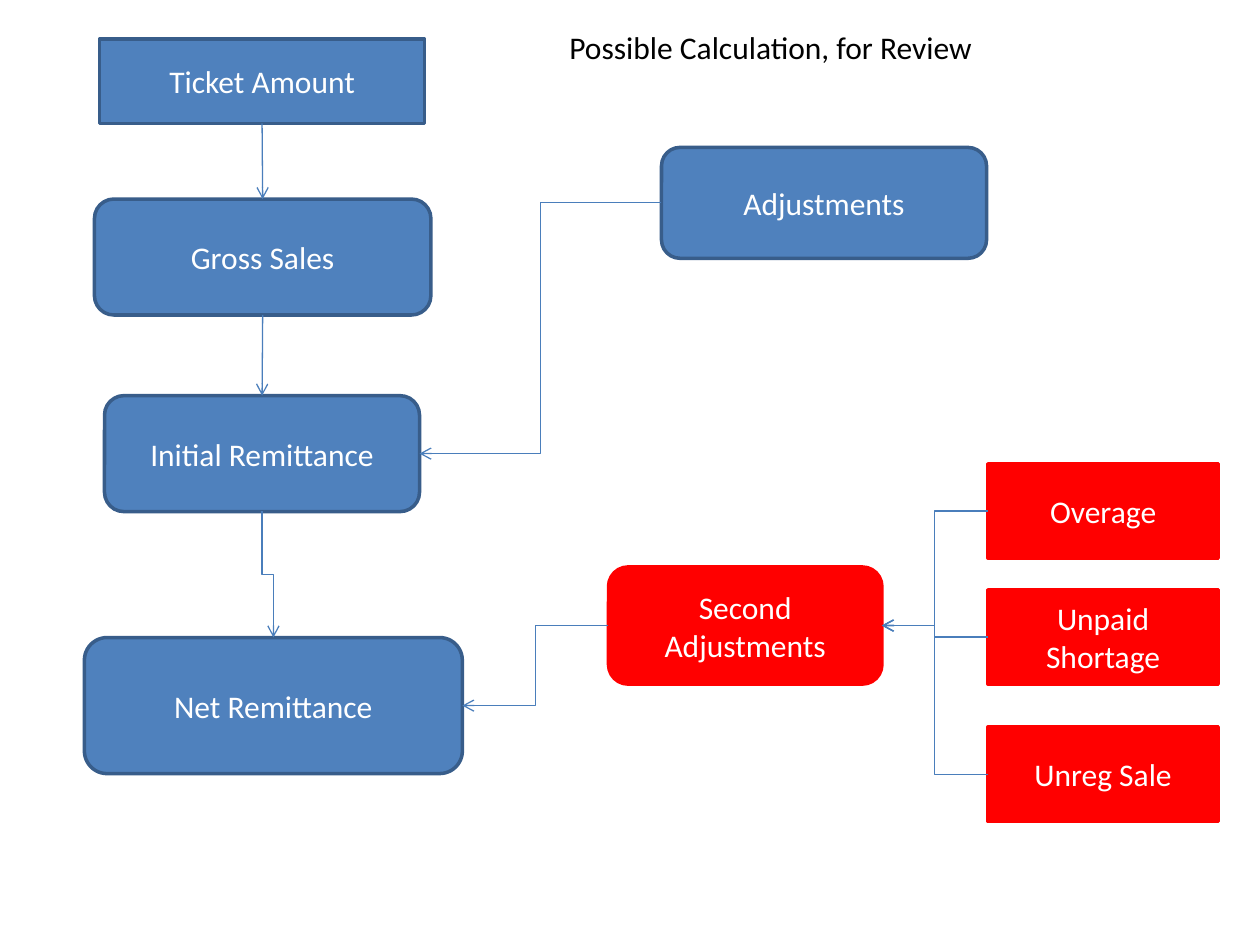
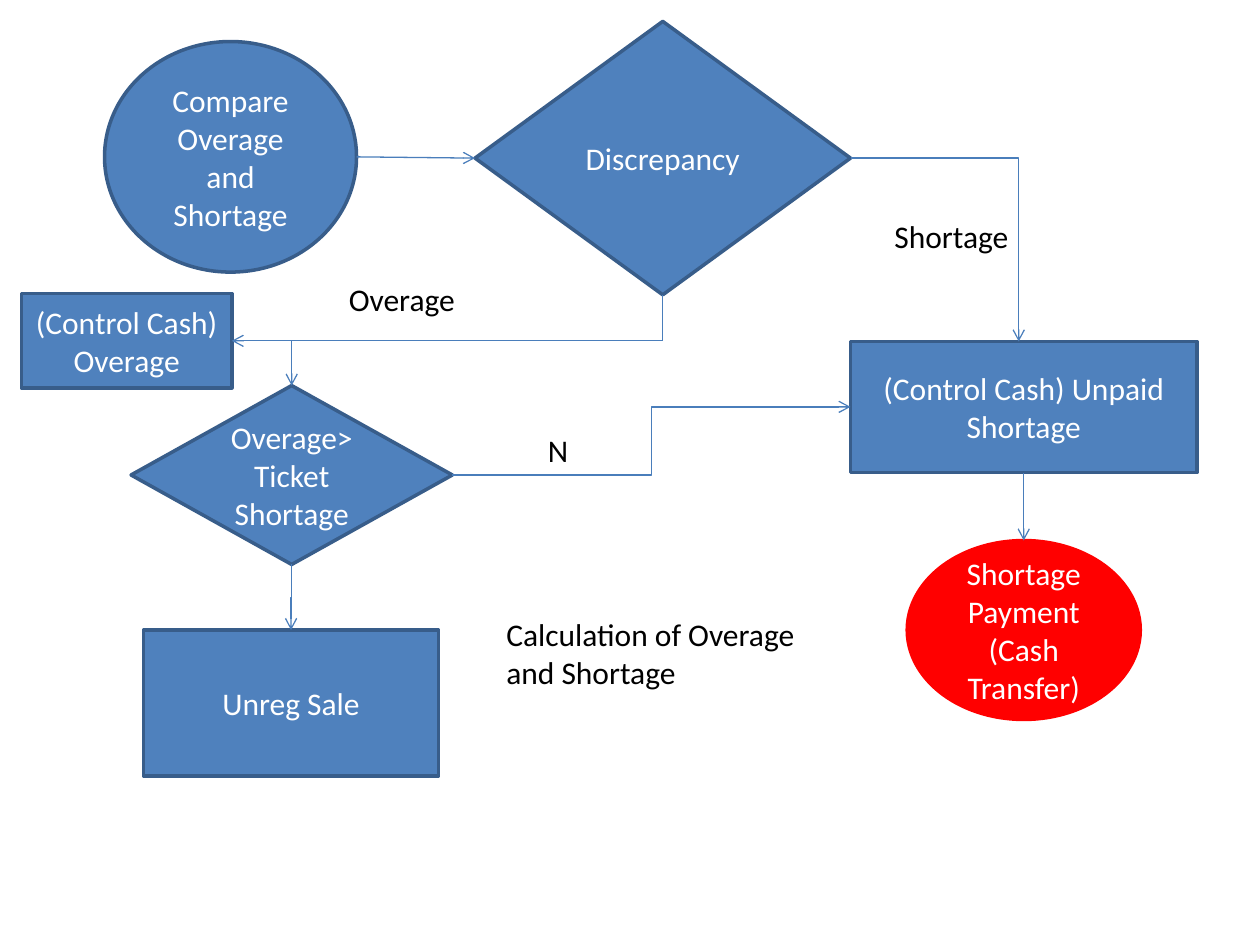
"""Builds two flowcharts of the remittance calculation and its overage and shortage rules."""
from dataclasses import dataclass
from enum import IntEnum

import lxml.etree
import pptx
import pptx.dml.color
import pptx.enum.shapes
import pptx.enum.text
import pptx.oxml.ns
import pptx.util

Inches = pptx.util.Inches
RGBColor = pptx.dml.color.RGBColor
Preset = pptx.enum.shapes.MSO_SHAPE
Align = pptx.enum.text.PP_ALIGN
Anchor = pptx.enum.text.MSO_ANCHOR
qn = pptx.oxml.ns.qn

FONT = "Calibri"
BLUE = RGBColor(0x4F, 0x81, 0xBD)
DARK_BLUE = RGBColor(0x38, 0x5D, 0x8A)
ARROW_BLUE = RGBColor(0x4A, 0x7E, 0xBB)
RED = RGBColor(0xFF, 0x00, 0x00)
WHITE = RGBColor(0xFF, 0xFF, 0xFF)
BLACK = RGBColor(0x00, 0x00, 0x00)


class Side(IntEnum):
    """Connection sites of a step."""
    TOP = 0
    LEFT = 1
    BOTTOM = 2
    RIGHT = 3


class Route(IntEnum):
    """Number of segments in an arrow."""
    STRAIGHT = 1
    CORNER = 2
    STEPPED = 3


@dataclass(frozen=True)
class Step:
    """A filled step of a flowchart, measured in inches."""
    text: str
    left: float
    top: float
    width: float
    height: float
    preset: Preset = Preset.RECTANGLE
    fill: RGBColor = BLUE
    outline: RGBColor = DARK_BLUE

    def port(self, side: Side) -> tuple[float, float]:
        """Return the middle of one side."""
        across = {Side.LEFT: 0, Side.RIGHT: 1}.get(side, 0.5)
        down = {Side.TOP: 0, Side.BOTTOM: 1}.get(side, 0.5)
        return self.left + across * self.width, self.top + down * self.height


@dataclass(frozen=True)
class Label:
    """Plain text beside the flow, measured in inches."""
    text: str
    left: float
    top: float
    width: float
    height: float = 0.4


@dataclass(frozen=True)
class Flow:
    """An arrow from a side of one step to a side of another."""
    source: Step
    leaving: Side
    target: Step
    entering: Side
    route: Route = Route.STEPPED
    end_shift: float = 0


def write(frame, text: str, *, color: RGBColor = BLACK, align: Align = Align.LEFT,
          anchor: Anchor = Anchor.TOP, size: float = 18) -> None:
    """Put formatted text into a text frame."""
    frame.word_wrap = True
    frame.vertical_anchor = anchor
    paragraph = frame.paragraphs[0]
    paragraph.alignment = align
    run = paragraph.add_run()
    run.text = text
    run.font.name = FONT
    run.font.size = pptx.util.Pt(size)
    run.font.color.rgb = color


def draw_step(slide, step: Step):
    """Draw a step and return its shape."""
    shape = slide.shapes.add_shape(step.preset, Inches(step.left), Inches(step.top),
                                   Inches(step.width), Inches(step.height))
    shape.shadow.inherit = False
    shape.fill.solid()
    shape.fill.fore_color.rgb = step.fill
    shape.line.color.rgb = step.outline
    shape.line.width = pptx.util.Pt(2)
    write(shape.text_frame, step.text, color=WHITE, align=Align.CENTER, anchor=Anchor.MIDDLE)
    return shape


def draw_label(slide, label: Label) -> None:
    """Draw a label."""
    box = slide.shapes.add_textbox(Inches(label.left), Inches(label.top),
                                   Inches(label.width), Inches(label.height))
    write(box.text_frame, label.text)
    box.text_frame.auto_size = pptx.enum.text.MSO_AUTO_SIZE.SHAPE_TO_FIT_TEXT


def draw_flow(slide, flow: Flow, shapes: dict) -> None:
    """Draw an arrow, turned a quarter when a bent one leaves downwards."""
    x1, y1 = flow.source.port(flow.leaving)
    x2, y2 = flow.target.port(flow.entering)
    x2 += flow.end_shift
    straight = flow.route == Route.STRAIGHT
    turned = not straight and flow.leaving == Side.BOTTOM
    if turned:
        mid_x, mid_y = (x1 + x2) / 2, (y1 + y2) / 2
        half_x, half_y = (x2 - x1) / 2, (y2 - y1) / 2
        x1, y1, x2, y2 = mid_x - half_y, mid_y + half_x, mid_x + half_y, mid_y - half_x
    kinds = pptx.enum.shapes.MSO_CONNECTOR
    arrow = slide.shapes.add_connector(kinds.STRAIGHT if straight else kinds.ELBOW,
                                       Inches(x1), Inches(y1), Inches(x2), Inches(y2))
    arrow.line.color.rgb = ARROW_BLUE
    arrow.line.width = pptx.util.Pt(0.75)
    properties = arrow._element.spPr
    lxml.etree.SubElement(properties.find(qn("a:ln")), qn("a:tailEnd"), type="arrow")
    lxml.etree.SubElement(properties, qn("a:effectLst"))
    if turned:
        properties.find(qn("a:xfrm")).set("rot", "5400000")
    if flow.route == Route.CORNER:
        properties.find(qn("a:prstGeom")).set("prst", "bentConnector2")
    if straight and flow.source.preset != Preset.OVAL:
        arrow.begin_connect(shapes[flow.source], int(flow.leaving))
    if straight and flow.target.preset != Preset.OVAL:
        arrow.end_connect(shapes[flow.target], int(flow.entering))


def draw_chart(deck, steps: list[Step], labels: list[Label], flows: list[Flow]) -> None:
    """Add a slide with one flowchart."""
    slide = deck.slides.add_slide(deck.slide_layouts[6])
    shapes = {step: draw_step(slide, step) for step in steps}
    for label in labels:
        draw_label(slide, label)
    for flow in flows:
        draw_flow(slide, flow, shapes)


def add_remittance(deck) -> None:
    """Add the calculation from ticket amount to net remittance."""
    rounded = Preset.ROUNDED_RECTANGLE
    ticket = Step("Ticket Amount", 0.79, 0.31, 2.58, 0.67)
    gross = Step("Gross Sales", 0.75, 1.58, 2.67, 0.92, rounded)
    initial = Step("Initial Remittance", 0.83, 3.14, 2.5, 0.92, rounded)
    net = Step("Net Remittance", 0.67, 5.06, 3, 1.08, rounded)
    adjustments = Step("Adjustments", 5.25, 1.17, 2.58, 0.88, rounded)
    second = Step("Second Adjustments", 4.83, 4.5, 2.17, 0.93, rounded, RED, RED)
    causes = [Step(text, 7.84, top, 1.83, 0.75, fill=RED, outline=RED)
              for text, top in (("Overage", 3.68), ("Unpaid Shortage", 4.68),
                                ("Unreg Sale", 5.77))]
    draw_chart(
        deck,
        [ticket, gross, initial, net, adjustments, second, *causes],
        [Label("Possible Calculation, for Review", 4.42, 0.17, 4.75)],
        [Flow(ticket, Side.BOTTOM, gross, Side.TOP, Route.STRAIGHT),
         Flow(gross, Side.BOTTOM, initial, Side.TOP, Route.STRAIGHT),
         Flow(initial, Side.BOTTOM, net, Side.TOP),
         Flow(adjustments, Side.LEFT, initial, Side.RIGHT),
         Flow(second, Side.LEFT, net, Side.RIGHT),
         *(Flow(cause, Side.LEFT, second, Side.RIGHT) for cause in causes)])


def add_discrepancy(deck) -> None:
    """Add the decisions on overage and shortage."""
    compare = Step("Compare Overage and Shortage", 0.83, 0.33, 2, 1.83, Preset.OVAL)
    discrepancy = Step("Discrepancy", 3.77, 0.17, 2.98, 2.17, Preset.DIAMOND)
    overage = Step("(Control Cash) Overage", 0.17, 2.33, 1.67, 0.75)
    exceeds = Step("Overage>Ticket Shortage", 1.04, 3.06, 2.55, 1.42, Preset.DIAMOND)
    unregistered = Step("Unreg Sale", 1.14, 5, 2.34, 1.16)
    unpaid = Step("(Control Cash) Unpaid Shortage", 6.75, 2.71, 2.75, 1.04)
    payment = Step("Shortage Payment (Cash Transfer)", 7.2, 4.29, 1.85, 1.42,
                   Preset.OVAL, RED, RED)
    draw_chart(
        deck,
        [compare, discrepancy, overage, exceeds, unregistered, unpaid, payment],
        [Label("Overage", 2.67, 2.17, 2.17),
         Label("Shortage", 7, 1.67, 2.33),
         Label("N", 4.25, 3.37, 0.67),
         Label("Calculation of Overage and Shortage", 3.92, 4.83, 2.67, 0.7)],
        [Flow(compare, Side.RIGHT, discrepancy, Side.LEFT, Route.STRAIGHT),
         Flow(discrepancy, Side.BOTTOM, exceeds, Side.TOP),
         Flow(discrepancy, Side.BOTTOM, overage, Side.RIGHT, Route.CORNER),
         Flow(discrepancy, Side.RIGHT, unpaid, Side.TOP, Route.CORNER, end_shift=-0.04),
         Flow(exceeds, Side.RIGHT, unpaid, Side.LEFT),
         Flow(exceeds, Side.BOTTOM, unregistered, Side.TOP),
         Flow(unpaid, Side.BOTTOM, payment, Side.TOP, Route.STRAIGHT)])


def main() -> None:
    """Build and save the deck."""
    deck = pptx.Presentation()
    deck.slide_width = Inches(10)
    deck.slide_height = Inches(7.5)
    add_remittance(deck)
    add_discrepancy(deck)
    deck.save("out.pptx")


if __name__ == "__main__":
    main()
